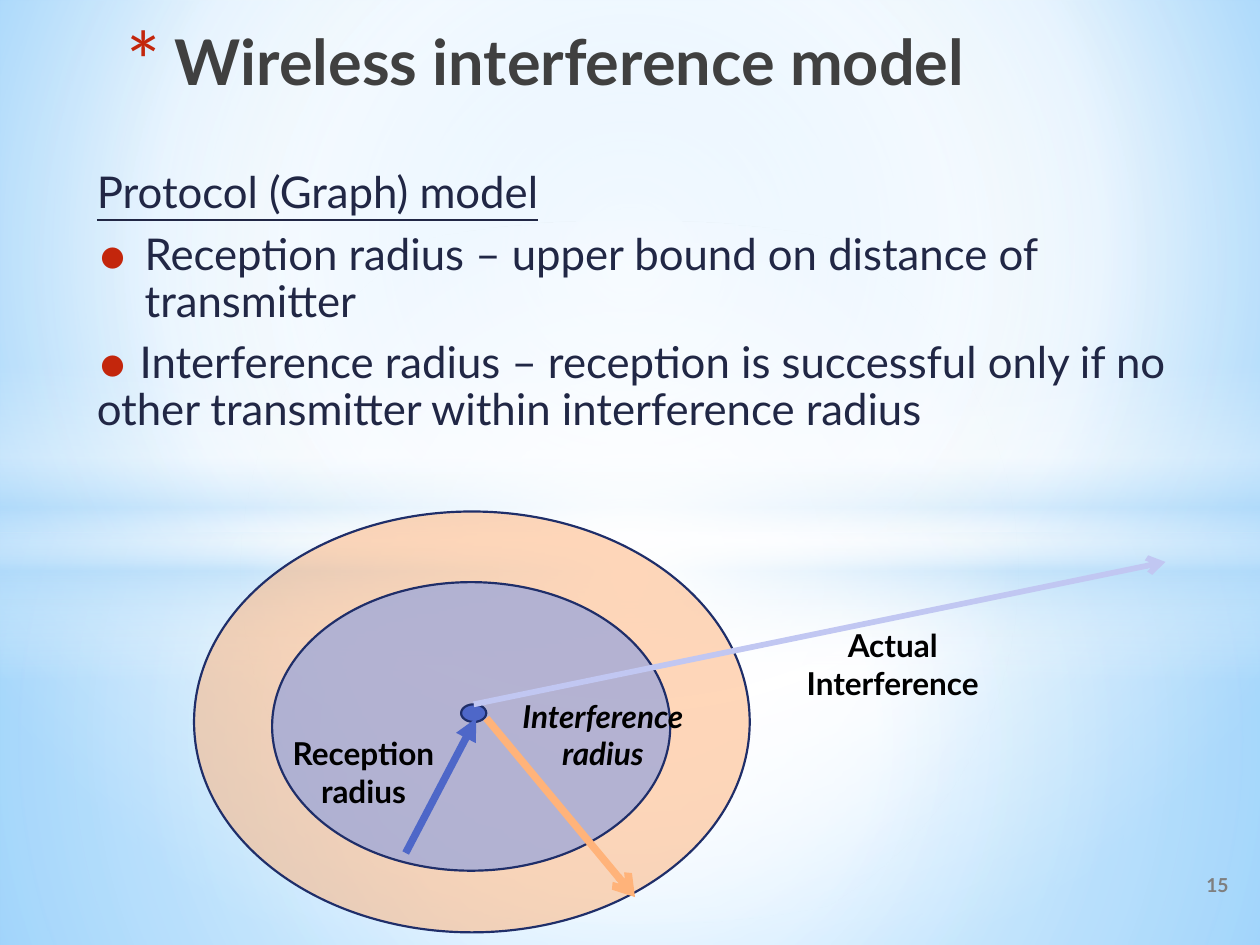
from dataclasses import dataclass
from typing import Optional

from lxml import etree
from pptx import Presentation
from pptx.dml.color import RGBColor
from pptx.enum.shapes import MSO_CONNECTOR, MSO_SHAPE
from pptx.enum.text import MSO_ANCHOR, PP_ALIGN
from pptx.oxml.ns import qn
from pptx.util import Inches, Pt

RECT, OVAL = MSO_SHAPE.RECTANGLE, MSO_SHAPE.OVAL
STRAIGHT = MSO_CONNECTOR.STRAIGHT
TOP, MIDDLE = MSO_ANCHOR.TOP, MSO_ANCHOR.MIDDLE
LEFT, CENTER, RIGHT = PP_ALIGN.LEFT, PP_ALIGN.CENTER, PP_ALIGN.RIGHT


@dataclass(frozen=True)
class Theme:
    font: str = "Lato"
    title: str = "404040"
    body: str = "212745"
    label: str = "000000"
    page: str = "7F7F7F"
    bullet: str = "C3260C"
    white: str = "FFFFFF"
    haze: str = "B4DCFA"
    sky: str = "9ED5FF"
    deep_sky: str = "5BB9FF"
    outline: str = "1F2E69"
    blue: str = "4E67C8"
    orange: str = "FFB37A"
    lavender: str = "95A4DE"
    pale_lavender: str = "C1C7F2"
    title_size: int = 36
    body_size: int = 25
    label_size: int = 18
    page_size: int = 11


THEME = Theme()


@dataclass(frozen=True)
class Gradient:
    stops: tuple  # (position %, colour, opacity %)
    focus: Optional[tuple] = (50, 50, 50, 50)  # None gives a vertical gradient


@dataclass(frozen=True)
class Glow:
    shape: int
    box: tuple
    gradient: Gradient


@dataclass(frozen=True)
class Zone:
    box: tuple
    color: str
    opacity: int = 100


@dataclass(frozen=True)
class Arrow:
    start: tuple
    end: tuple
    color: str
    width: float
    end_tag: str
    head: str


@dataclass(frozen=True)
class Label:
    lines: tuple
    box: tuple
    italic: bool = False


def child(parent, tag: str, **attributes):
    return etree.SubElement(parent, qn(tag), {k: str(v) for k, v in attributes.items()})


def set_gradient(properties, gradient: Gradient) -> None:
    """Swap the solid fill of a properties element for a gradient."""
    solid = properties.find(qn("a:solidFill"))
    grad = etree.Element(qn("a:gradFill"), rotWithShape="1")
    stops = child(grad, "a:gsLst")
    for position, color, opacity in gradient.stops:
        stop = child(stops, "a:gs", pos=position * 1000)
        child(child(stop, "a:srgbClr", val=color), "a:alpha", val=opacity * 1000)
    if gradient.focus:
        radial = child(grad, "a:path", path="circle")
        sides = dict(zip("ltrb", (side * 1000 for side in gradient.focus)))
        child(radial, "a:fillToRect", **sides)
    else:
        child(grad, "a:lin", ang=90 * 60000, scaled=0)
    properties.replace(solid, grad)


def add_filled(slide, kind: int, box: tuple, color: str):
    shape = slide.shapes.add_shape(kind, *map(Inches, box))
    shape.shadow.inherit = False
    shape.fill.solid()
    shape.fill.fore_color.rgb = RGBColor.from_string(color)
    shape.line.fill.background()
    return shape


def add_glow(slide, glow: Glow) -> None:
    shape = add_filled(slide, glow.shape, glow.box, THEME.white)
    set_gradient(shape._element.spPr, glow.gradient)


def add_zone(slide, zone: Zone) -> None:
    shape = add_filled(slide, OVAL, zone.box, zone.color)
    color = shape._element.spPr.find(qn("a:solidFill"))[0]
    child(color, "a:alpha", val=zone.opacity * 1000)
    shape.line.color.rgb = RGBColor.from_string(THEME.outline)
    shape.line.width = Pt(1.25)


def add_arrow(slide, arrow: Arrow) -> None:
    line = slide.shapes.add_connector(STRAIGHT, *map(Inches, arrow.start + arrow.end))
    line.line.color.rgb = RGBColor.from_string(arrow.color)
    line.line.width = Pt(arrow.width)
    child(line.line._get_or_add_ln(), arrow.end_tag, type=arrow.head)
    child(line._element.spPr, "a:effectLst")


def add_text(slide, lines: tuple, box: tuple, size: int, color: str, bold: bool = True,
             italic: bool = False, align=LEFT, anchor=TOP, wrap: bool = True):
    frame = slide.shapes.add_textbox(*map(Inches, box)).text_frame
    frame.word_wrap = wrap
    frame.vertical_anchor = anchor
    frame.text = "\n".join(lines)
    for paragraph in frame.paragraphs:
        paragraph.alignment = align
        font = paragraph.runs[0].font
        font.name, font.size = THEME.font, Pt(size)
        font.bold, font.italic = bold, italic
        font.color.rgb = RGBColor.from_string(color)
    return frame


def add_bullet(paragraph, mark: str, percent: int, hanging: float = 0, tab: float = 0) -> None:
    props = paragraph._p.get_or_add_pPr()
    props.set("marL", str(Inches(hanging)))
    props.set("indent", str(-Inches(hanging)))
    child(child(props, "a:buClr"), "a:srgbClr", val=THEME.bullet)
    child(props, "a:buSzPct", val=percent * 1000)
    child(props, "a:buFont", typeface=THEME.font)
    child(props, "a:buChar", char=mark)
    if tab:
        child(child(props, "a:tabLst"), "a:tab", pos=Inches(tab), algn="l")


W, H = THEME.white, THEME.haze
BACKDROP = Gradient(((0, THEME.sky, 100), (60, W, 100), (100, THEME.deep_sky, 100)),
                    (20, 10, 20, 60))
GLOWS = (
    Glow(RECT, (0, 4.23, 10, 3.27), Gradient(((0, W, 91), (37, W, 76), (100, H, 79)))),
    Glow(RECT, (0, 0, 10, 4.23), Gradient(((0, W, 89), (48, W, 62), (100, H, 79)))),
    Glow(RECT, (0, 2.9, 10, 2.5), Gradient(
        ((0, W, 0), (29, W, 30), (45, H, 40), (55, W, 26), (65, H, 60), (100, W, 0)), None)),
    Glow(OVAL, (0, 1.75, 10, 5.58), Gradient(((0, W, 100), (54, W, 0)))),
)
ZONES = (
    Zone((1.54, 4.06, 4.41, 3.34), THEME.orange, 52),
    Zone((2.16, 4.62, 3.16, 2.29), THEME.lavender, 70),
    Zone((3.66, 5.59, 0.2, 0.14), THEME.blue),
)
ARROWS = (
    Arrow((3.78, 5.7), (3.22, 6.77), THEME.blue, 4.25, "a:headEnd", "triangle"),
    Arrow((3.86, 5.7), (5.04, 7.12), THEME.orange, 4.25, "a:tailEnd", "arrow"),
    Arrow((3.76, 5.59), (9.25, 4.46), THEME.pale_lavender, 3.25, "a:tailEnd", "arrow"),
)
LABELS = (
    Label(("Reception", "radius"), (2.16, 5.78, 1.45, 0.7)),
    Label(("Interference", "radius"), (3.94, 5.48, 1.69, 1.01), italic=True),
    Label(("Actual", "Interference"), (6.24, 4.92, 1.69, 0.71)),
)
MODEL_TEXT = (
    "Protocol (Graph) model",
    "Reception radius – upper bound on distance of transmitter",
    "\tInterference radius – reception is successful only if no other transmitter "
    "within interference radius",
)


def main() -> None:
    deck = Presentation()
    deck.slide_width, deck.slide_height = Inches(10), Inches(7.5)
    slide = deck.slides.add_slide(deck.slide_layouts[6])

    # Backdrop
    slide.background.fill.solid()
    set_gradient(slide._element.find(".//" + qn("p:bgPr")), BACKDROP)
    for glow in GLOWS:
        add_glow(slide, glow)

    # Model description and title
    model = add_text(slide, MODEL_TEXT, (0.67, 1.31, 8.98, 3.23), THEME.body_size,
                     THEME.body, bold=False)
    for paragraph in model.paragraphs:
        paragraph.line_spacing = 0.9
        paragraph.space_before, paragraph.space_after = Pt(5), Pt(3)
    heading, reception, interference = model.paragraphs
    heading.runs[0].font.underline = True
    add_bullet(reception, "•", 130, hanging=0.38)
    add_bullet(interference, "•", 130, tab=0.34)
    title = add_text(slide, ("Wireless interference model",), (0.91, 0.13, 8.27, 1.1),
                     THEME.title_size, THEME.title)
    add_bullet(title.paragraphs[0], "*", 128, hanging=0.38)

    # Radius diagram
    for zone in ZONES:
        add_zone(slide, zone)
    for arrow in ARROWS:
        add_arrow(slide, arrow)
    for label in LABELS:
        add_text(slide, label.lines, label.box, THEME.label_size, THEME.label,
                 italic=label.italic, align=CENTER, wrap=False)

    # Page number
    add_text(slide, ("15",), (6.18, 6.82, 3.67, 0.4), THEME.page_size, THEME.page,
             align=RIGHT, anchor=MIDDLE)
    deck.save("out.pptx")


if __name__ == "__main__":
    main()
